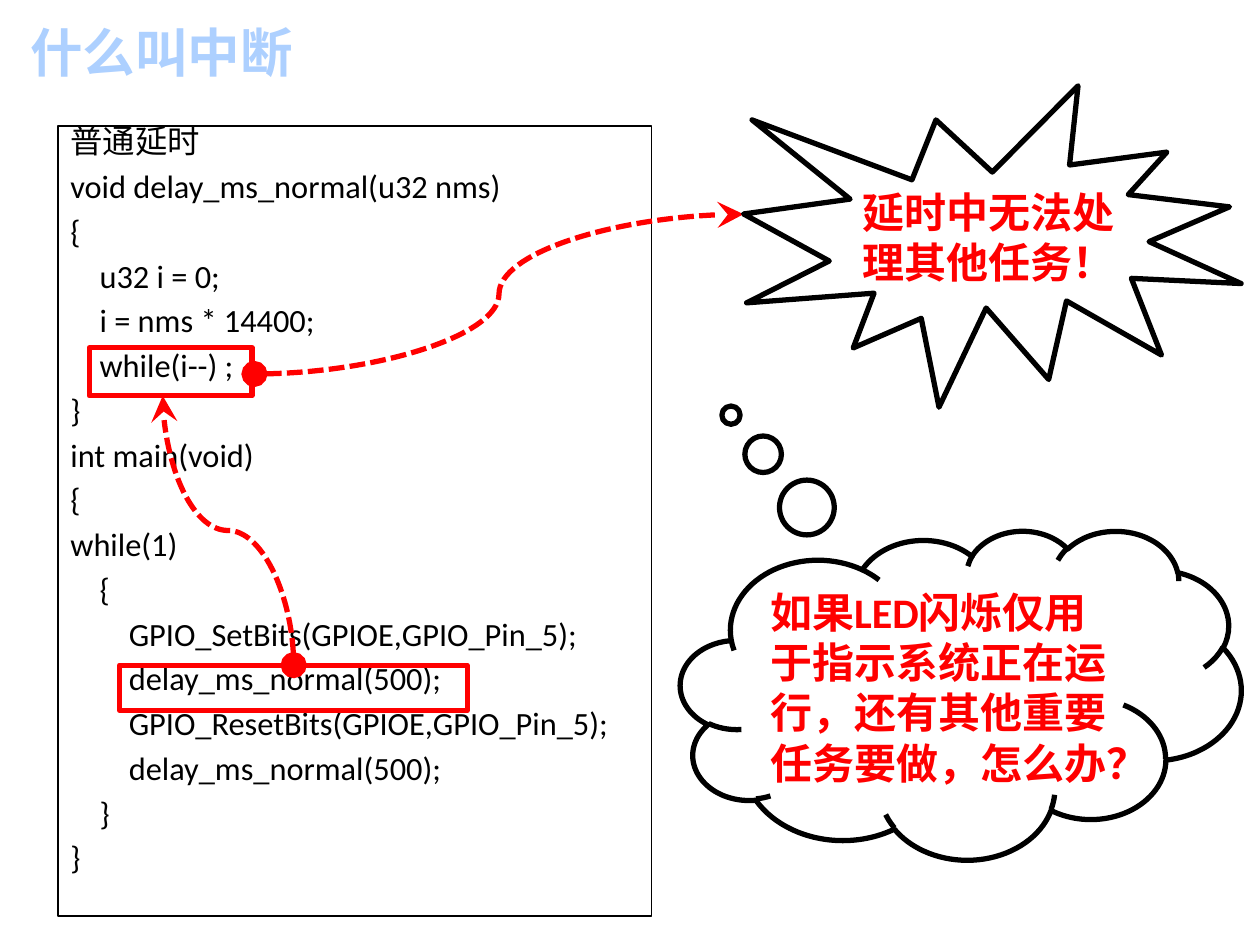
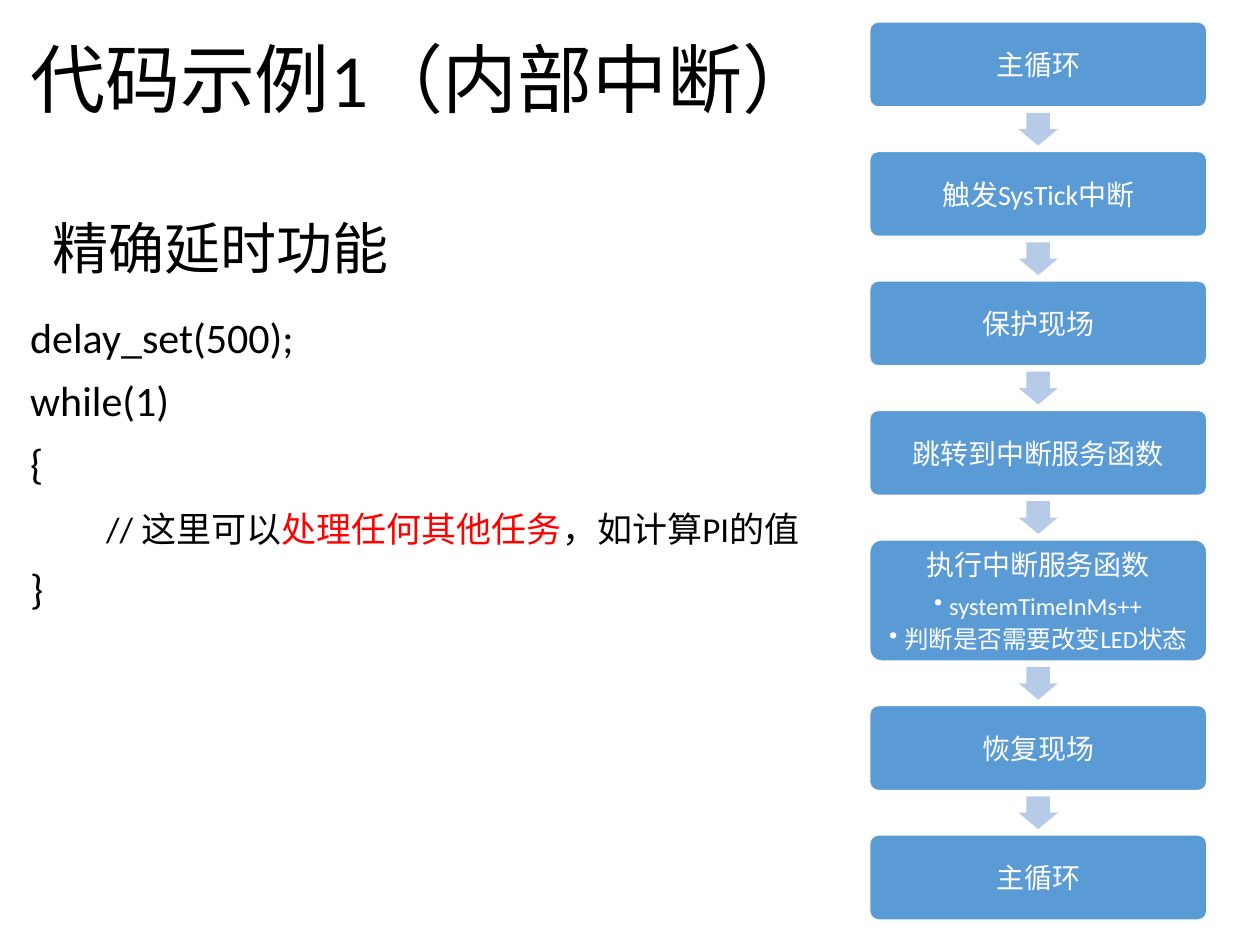
from lxml.etree import SubElement
from pptx import Presentation
from pptx.dml.color import RGBColor
from pptx.enum.dml import MSO_LINE
from pptx.enum.shapes import MSO_CONNECTOR, MSO_SHAPE
from pptx.enum.text import MSO_ANCHOR, PP_ALIGN
from pptx.oxml.ns import qn
from pptx.util import Cm, Pt

BLACK = RGBColor(0x00, 0x00, 0x00)
WHITE = RGBColor(0xFF, 0xFF, 0xFF)
RED = RGBColor(0xFF, 0x00, 0x00)
PALE_BLUE = RGBColor(0xAD, 0xD0, 0xFF)
STEP_BLUE = RGBColor(0x5B, 0x9B, 0xD5)
ARROW_BLUE = RGBColor(0xB5, 0xCB, 0xE7)
FONT = "Calibri"

# Content of slide 1
DELAY_TITLE = "什么叫中断"
DELAY_CODE = [
    "普通延时",
    "void delay_ms_normal(u32 nms)",
    "{",
    "    u32 i = 0;",
    "    i = nms * 14400;",
    "    while(i--) ;",
    "}",
    "int main(void)",
    "{",
    "while(1)",
    "    {",
    "        GPIO_SetBits(GPIOE,GPIO_Pin_5);",
    "        delay_ms_normal(500);",
    "        GPIO_ResetBits(GPIOE,GPIO_Pin_5);",
    "        delay_ms_normal(500);",
    "    }",
    "}",
]
CODE_FRAMES = [(2.41, 13.41, 7.01, 0.91), (1.8, 7.01, 3.28, 0.97)]
CALLOUTS = [  # shape, place, adjustments, text
    (MSO_SHAPE.CLOUD_CALLOUT, (13.72, 10.69, 11.3, 6.63), (-0.41, -0.85),
     "如果LED闪烁仅用于指示系统正在运行，还有其他重要任务要做，怎么办？"),
    (MSO_SHAPE.EXPLOSION1, (14.99, 1.73, 10.03, 6.48), (),
     "延时中无法处理其他任务！"),
]

# Content of slide 2: each code line is a list of (text, size, colour)
EXAMPLE_TITLE = "代码示例1（内部中断）"
EXAMPLE_TOPIC = "精确延时功能"
EXAMPLE_CODE = [
    [("delay_set(500);", 24, BLACK)],
    [("while(1)", 24, BLACK)],
    [("{", 24, BLACK)],
    [("        ", 24, BLACK), ("// 这里可以", 20, BLACK),
     ("处理任何其他任务", 20, RED), ("，如计算PI的值", 20, BLACK)],
    [("}", 24, BLACK)],
]
INTERRUPT_STEPS = [  # step, details
    ("主循环", []),
    ("触发SysTick中断", []),
    ("保护现场", []),
    ("跳转到中断服务函数", []),
    ("执行中断服务函数", ["systemTimeInMs++", "判断是否需要改变LED状态"]),
    ("恢复现场", []),
    ("主循环", []),
]
STEP_LEFT, STEP_TOP, STEP_WIDTH = 17.53, 0.44, 6.8
STEP_HEIGHT, DETAILED_HEIGHT, STEP_GAP = 1.72, 2.45, 0.89
ARROW_WIDTH, ARROW_HEIGHT = 0.79, 0.66


def style(font, size, color=BLACK, bold=False, name=FONT):
    font.size, font.bold, font.name = Pt(size), bold, name
    font.color.rgb = color


def add_text(slide, place, lines, anchor=MSO_ANCHOR.TOP, line_spacing=None):
    """Add a text box; each line is a list of (text, size, colour)."""
    box = slide.shapes.add_textbox(*map(Cm, place))
    frame = box.text_frame
    frame.word_wrap = True
    frame.vertical_anchor = anchor
    for number, pieces in enumerate(lines):
        paragraph = frame.add_paragraph() if number else frame.paragraphs[0]
        paragraph.line_spacing = line_spacing
        if number:
            paragraph.space_before = Pt(10)
        for text, size, color in pieces:
            run = paragraph.add_run()
            run.text = text
            style(run.font, size, color)
    return box


def add_block(slide, kind, place, fill=None, line=None, width=3, adjust=()):
    block = slide.shapes.add_shape(kind, *map(Cm, place))
    block.shadow.inherit = False
    for number, value in enumerate(adjust):
        block.adjustments[number] = value
    if fill is None:
        block.fill.background()
    else:
        block.fill.solid()
        block.fill.fore_color.rgb = fill
    if line is None:
        block.line.fill.background()
    else:
        block.line.color.rgb = line
        block.line.width = Pt(width)
    block.text_frame.word_wrap = True
    return block


def add_curve(slide, start, end, upright=False):
    """Dashed curve with a dot at start; upright leaves start vertically."""
    (x0, y0), (x1, y1) = start, end
    if upright:  # laid flat about its centre, then turned
        cx, cy = (x0 + x1) / 2, (y0 + y1) / 2
        half_long, half_short = abs(y1 - y0) / 2, abs(x1 - x0) / 2
        x0, y0 = cx - half_long, cy + half_short
        x1, y1 = cx + half_long, cy - half_short
    curve = slide.shapes.add_connector(
        MSO_CONNECTOR.CURVE, Cm(x0), Cm(y0), Cm(x1), Cm(y1))
    curve.line.color.rgb = RED
    curve.line.width = Pt(3)
    curve.line.dash_style = MSO_LINE.SQUARE_DOT
    properties = curve._element.spPr
    if upright:
        properties.find(qn("a:xfrm")).set("rot", str(270 * 60000))
    outline = properties.find(qn("a:ln"))
    for tag, kind in (("a:headEnd", "oval"), ("a:tailEnd", "stealth")):
        SubElement(outline, qn(tag), type=kind, w="lg", len="lg")
    SubElement(properties, qn("a:effectLst"))


def add_bullet(paragraph):
    properties = paragraph._p.get_or_add_pPr()
    properties.set("marL", str(Cm(0.3)))
    properties.set("indent", str(-Cm(0.3)))
    SubElement(properties, qn("a:buChar"), char="•")


def build_delay_slide(slide):
    title = add_text(slide, (0.36, 0.28, 20.75, 1.55),
                     [[(DELAY_TITLE, 30, PALE_BLUE)]])
    style(title.text_frame.paragraphs[0].runs[0].font, 30, PALE_BLUE,
          True, "Times New Roman")

    # Code listing
    listing = add_block(slide, MSO_SHAPE.RECTANGLE, (1.17, 2.54, 11.96, 15.93),
                        line=BLACK, width=0.75)
    listing.text_frame.vertical_anchor = MSO_ANCHOR.TOP
    listing.text_frame.text = "\n".join(DELAY_CODE)
    for number, paragraph in enumerate(listing.text_frame.paragraphs):
        paragraph.alignment = PP_ALIGN.LEFT
        paragraph.line_spacing = 0.7
        if number:
            paragraph.space_before = Pt(10)
        style(paragraph.runs[0].font, 18.5)

    # Highlighted lines and the curves between them
    for place in CODE_FRAMES:
        add_block(slide, MSO_SHAPE.RECTANGLE, place, line=RED)
    add_curve(slide, (5.92, 13.41), (3.28, 7.98), upright=True)
    add_curve(slide, (5.13, 7.54), (14.99, 4.32))

    # Callouts
    for kind, place, adjust, text in CALLOUTS:
        callout = add_block(slide, kind, place, line=BLACK, adjust=adjust)
        callout.text_frame.vertical_anchor = MSO_ANCHOR.TOP
        callout.text_frame.text = text
        paragraph = callout.text_frame.paragraphs[0]
        paragraph.alignment = PP_ALIGN.LEFT
        style(paragraph.runs[0].font, 24, RED, True)


def add_step(slide, top, height, step, details):
    block = add_block(slide, MSO_SHAPE.ROUNDED_RECTANGLE,
                      (STEP_LEFT, top, STEP_WIDTH, height),
                      STEP_BLUE, WHITE, 1, (0.1,))
    frame = block.text_frame
    frame.margin_left = frame.margin_right = Cm(0.1)
    frame.margin_top = frame.margin_bottom = Cm(0.18)
    frame.text = "\n".join([step] + details)
    for number, paragraph in enumerate(frame.paragraphs):
        paragraph.alignment = PP_ALIGN.CENTER
        if details:
            paragraph.space_after = Pt(2 if number else 5.6)
        if number:
            add_bullet(paragraph)
        style(paragraph.runs[0].font, 14 if number else 16, WHITE)


def build_example_slide(slide):
    add_text(slide, (0.36, 6.27, 17.12, 12.24), EXAMPLE_CODE, line_spacing=0.9)
    add_text(slide, (0.81, 4.17, 9.68, 1.63), [[(EXAMPLE_TOPIC, 32, BLACK)]])

    # Interrupt flow
    top = STEP_TOP
    for number, (step, details) in enumerate(INTERRUPT_STEPS):
        if number:
            add_block(slide, MSO_SHAPE.DOWN_ARROW,
                      (STEP_LEFT + (STEP_WIDTH - ARROW_WIDTH) / 2,
                       top - (STEP_GAP + ARROW_HEIGHT) / 2,
                       ARROW_WIDTH, ARROW_HEIGHT),
                      ARROW_BLUE, adjust=(0.6, 0.5))
        height = DETAILED_HEIGHT if details else STEP_HEIGHT
        add_step(slide, top, height, step, details)
        top += height + STEP_GAP

    add_text(slide, (0.36, 0.81, 21.89, 1.85), [[(EXAMPLE_TITLE, 42.9, BLACK)]],
             MSO_ANCHOR.MIDDLE, 0.8)


def main():
    deck = Presentation()
    deck.slide_width, deck.slide_height = Cm(25.4), Cm(19.05)
    for build in (build_delay_slide, build_example_slide):
        build(deck.slides.add_slide(deck.slide_layouts[6]))
    deck.save("out.pptx")


if __name__ == "__main__":
    main()
